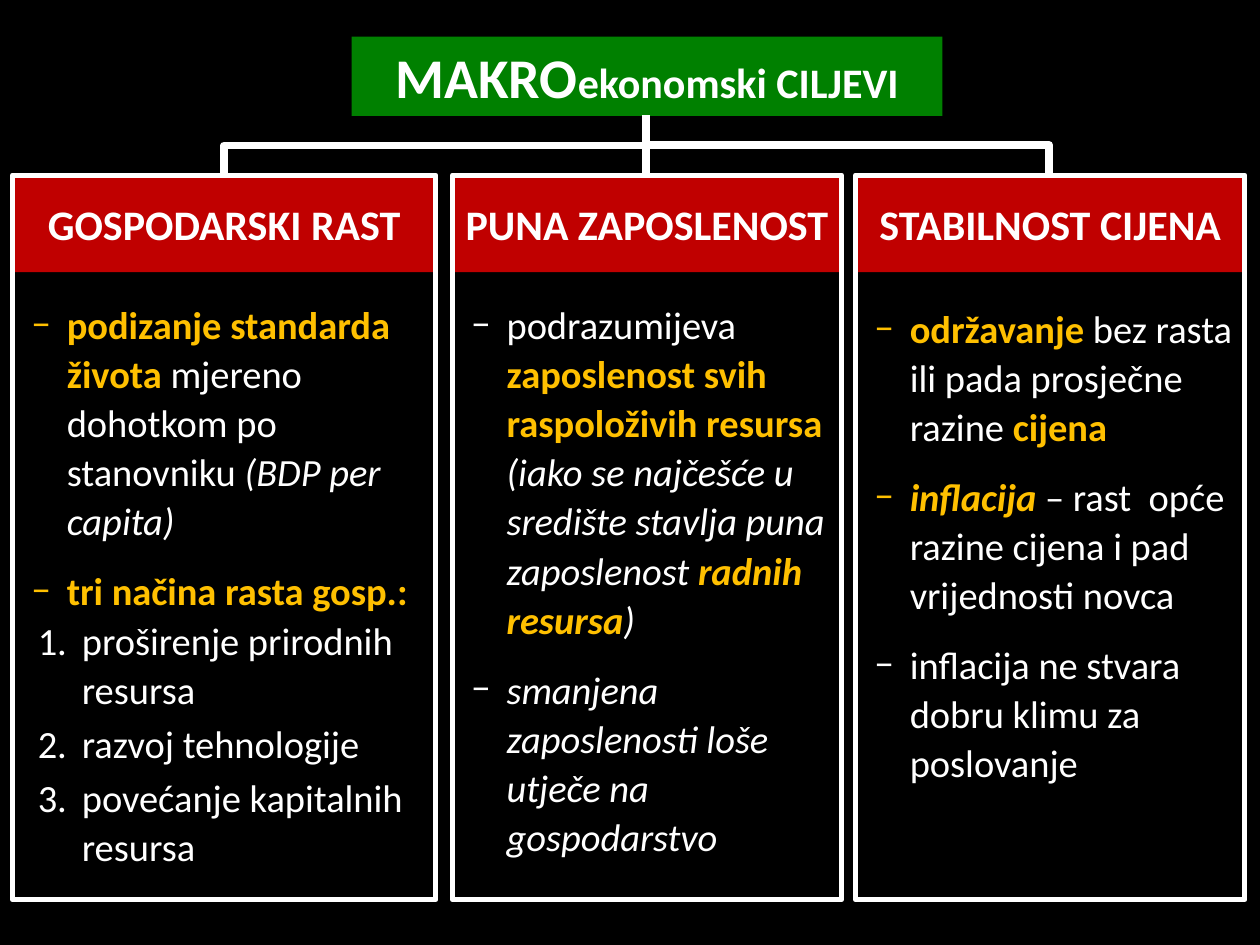
from dataclasses import dataclass

from lxml.etree import SubElement
from pptx import Presentation
from pptx.dml.color import RGBColor
from pptx.enum.shapes import MSO_CONNECTOR, MSO_SHAPE
from pptx.enum.text import MSO_ANCHOR, MSO_AUTO_SIZE, PP_ALIGN
from pptx.oxml.ns import qn
from pptx.util import Pt

SCALE = 9144


@dataclass(frozen=True)
class Theme:
    """Colours, font and type sizes of the slide."""
    back: RGBColor = RGBColor(0, 0, 0)
    white: RGBColor = RGBColor(255, 255, 255)
    gold: RGBColor = RGBColor(0xFF, 0xC0, 0)
    red: RGBColor = RGBColor(0xC0, 0, 0)
    green: RGBColor = RGBColor(0, 0x80, 0)
    font: str = "Calibri"
    big: int = 32
    head: int = 24
    body: int = 22
    lead: int = 28
    frame: float = 3
    link: float = 4.5


THEME = Theme()
TITLE = (279, 29, 469, 63)
TOP, TALL, HEAD = 139, 575, 77

COLUMNS = [
    (10, 336, 98, "GOSPODARSKI RAST", [
        ("dash", 0, [("podizanje standarda života ", "g"),
                     ("mjereno dohotkom po stanovniku ", ""),
                     ("(BDP per capita)", "i")]),
        ("dash", 12, [("tri načina rasta gosp.:", "g")]),
        ("num", 0, [("proširenje prirodnih resursa", "")]),
        ("num", 3, [("razvoj tehnologije", "")]),
        ("num", 3, [("povećanje kapitalnih resursa", "")]),
    ]),
    (359, 309, 98, "PUNA ZAPOSLENOST", [
        ("dash", 0, [("podrazumijeva ", ""),
                     ("zaposlenost svih raspoloživih resursa ", "g"),
                     ("(iako se najčešće u središte stavlja puna zaposlenost ", "i"),
                     ("radnih resursa", "gi"), (")", "i")]),
        ("dash", 12, [("smanjena zaposlenosti loše utječe na gospodarstvo", "i")]),
    ]),
    (679, 309, 101, "STABILNOST CIJENA", [
        ("dash", 0, [("održavanje ", "g"),
                     ("bez rasta ili pada prosječne razine ", ""),
                     ("cijena", "g")]),
        ("dash", 12, [("inflacija", "gi"),
                      (" – rast  opće razine cijena i pad vrijednosti novca", "")]),
        ("dash", 12, [("inflacija ne stvara dobru klimu za poslovanje", "")]),
    ]),
]


def px(*sizes):
    """Turn px lengths into EMU."""
    return [size * SCALE for size in sizes]


def style(font, size, bold=False):
    """Set the base look of a font."""
    font.name, font.size, font.bold = THEME.font, Pt(size), bold
    font.color.rgb = THEME.white


def inset(frame, left, top, right, base):
    """Set the four margins of a text frame and let it wrap."""
    frame.margin_left, frame.margin_top, frame.margin_right, frame.margin_bottom = px(
        left, top, right, base)
    frame.word_wrap = True


def title(slide, box):
    """Place the green title bar."""
    shape = slide.shapes.title
    shape.left, shape.top, shape.width, shape.height = px(*box)
    shape.fill.solid()
    shape.fill.fore_color.rgb = THEME.green
    frame = shape.text_frame
    frame.auto_size = MSO_AUTO_SIZE.NONE
    frame.vertical_anchor = MSO_ANCHOR.MIDDLE
    line = frame.paragraphs[0]
    line.alignment = PP_ALIGN.CENTER
    style(line.font, THEME.head, True)
    for text, size in (("MAKRO", THEME.big), ("ekonomski CILJEVI", THEME.head)):
        run = line.add_run()
        run.text = text
        style(run.font, size, True)


def panel(slide, box):
    """Add a plain rectangle without shadow."""
    shape = slide.shapes.add_shape(MSO_SHAPE.RECTANGLE, *px(*box))
    shape.shadow.inherit = False
    return shape


def header(slide, box, text):
    """Place the red heading of a column."""
    shape = panel(slide, box)
    shape.fill.solid()
    shape.fill.fore_color.rgb = THEME.red
    shape.line.fill.background()
    frame = shape.text_frame
    inset(frame, 4, 5, 4, 5)
    frame.vertical_anchor = MSO_ANCHOR.MIDDLE
    line = frame.paragraphs[0]
    line.text = text
    line.alignment = PP_ALIGN.CENTER
    style(line.font, THEME.head, True)


def bullet(line, kind):
    """Give a paragraph a dash or a number with a hanging indent."""
    props = line._p.get_or_add_pPr()
    left, hang = px(39, -28) if kind == "dash" else px(51, -35)
    props.set("marL", str(left))
    props.set("indent", str(hang))
    if kind == "dash":
        SubElement(props, qn("a:buFont"), typeface=THEME.font)
        SubElement(props, qn("a:buChar"), char="−")
    else:
        SubElement(props, qn("a:buAutoNum"), type="arabicPeriod")


def body(slide, box, drop, items):
    """Place the framed list of a column."""
    shape = panel(slide, box)
    shape.fill.background()
    shape.line.color.rgb = THEME.white
    shape.line.width = Pt(THEME.frame)
    frame = shape.text_frame
    inset(frame, 4, drop, 4, 5)
    frame.vertical_anchor = MSO_ANCHOR.TOP
    for spot, (kind, space, runs) in enumerate(items):
        line = frame.add_paragraph() if spot else frame.paragraphs[0]
        line.alignment = PP_ALIGN.LEFT
        bullet(line, kind)
        line.line_spacing = Pt(THEME.lead)
        line.space_before = Pt(space)
        style(line.font, THEME.body)
        for text, look in runs:
            run = line.add_run()
            run.text = text
            style(run.font, THEME.body, "g" in look)
            run.font.italic = "i" in look
            if "g" in look:
                run.font.color.rgb = THEME.gold


def link(slide, start, end):
    """Join two points by an elbow that leaves downwards."""
    (left, top), (right, base) = start, end
    wide, tall = base - top, abs(right - left)
    x, y = (left + right - wide) // 2, (top + base - tall) // 2
    wire = slide.shapes.add_connector(
        MSO_CONNECTOR.ELBOW, *px(x, y, x + wide, y + tall))
    wire.line.color.rgb = THEME.white
    wire.line.width = Pt(THEME.link)
    props = wire._element.spPr
    SubElement(props, qn("a:effectLst"))
    form = props.find(qn("a:xfrm"))
    if right > left:
        form.set("rot", "16200000")
        form.set("flipH", "1")
    else:
        form.set("rot", "5400000")


def column(slide, box, drop, text, items):
    """Place one goal with its heading, list and link to the title."""
    left, top, wide, tall = box
    header(slide, (left, top, wide, HEAD), text)
    body(slide, box, drop, items)
    start = (TITLE[0] + TITLE[2] // 2, TITLE[1] + TITLE[3])
    link(slide, start, (left + wide // 2, top))


def main():
    """Build and save the slide."""
    deck = Presentation()
    deck.slide_width, deck.slide_height = px(1000, 750)
    slide = deck.slides.add_slide(deck.slide_layouts[5])
    slide.background.fill.solid()
    slide.background.fill.fore_color.rgb = THEME.back
    title(slide, TITLE)
    for left, wide, drop, text, items in COLUMNS:
        column(slide, (left, TOP, wide, TALL), drop, text, items)
    deck.save("out.pptx")


if __name__ == "__main__":
    main()
